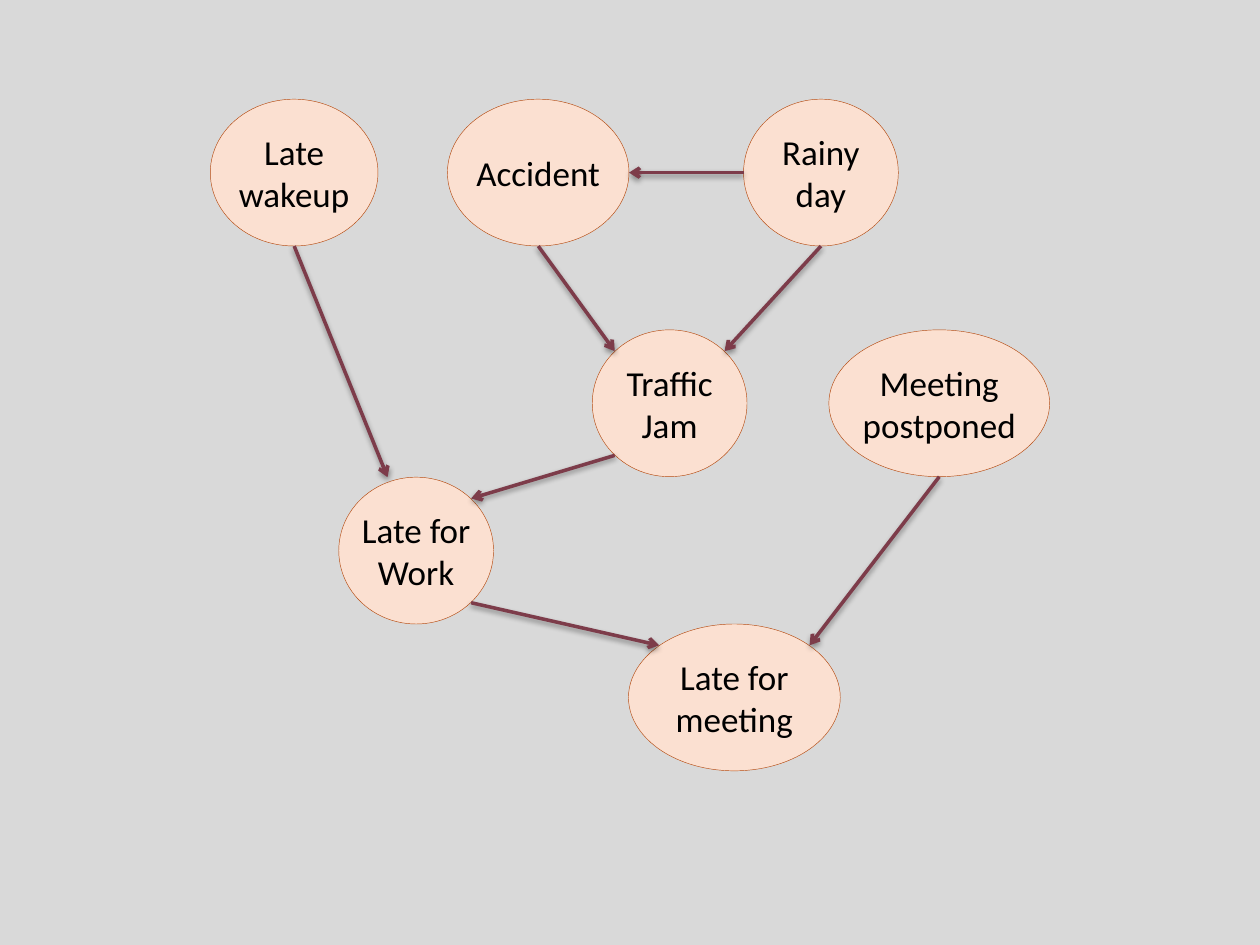
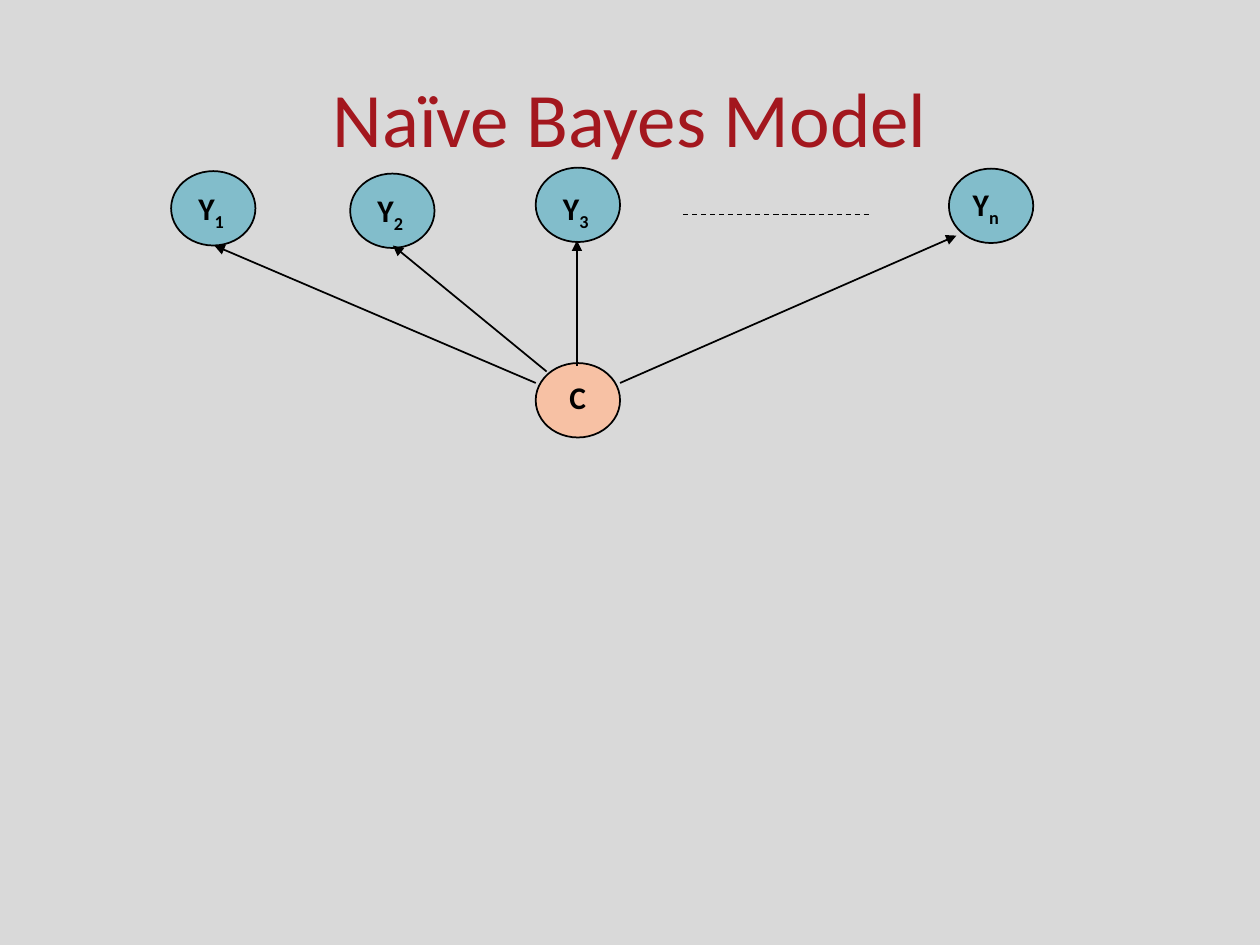
from lxml.etree import SubElement
from pptx import Presentation
from pptx.dml.color import RGBColor
from pptx.enum.dml import MSO_LINE
from pptx.enum.shapes import MSO_CONNECTOR, MSO_SHAPE
from pptx.enum.text import MSO_ANCHOR, MSO_AUTO_SIZE, PP_ALIGN
from pptx.oxml.ns import qn
from pptx.util import Cm, Pt

COLORS = {
    "back": "D9D9D9", "title": "A3171E", "text": "000000", "line": "000000",
    "event": "FBE0D1", "edge": "B54A10", "cause": "7D3C4A",
    "class": "F7C1A4", "feature": "2DA2BF",
}
FONTS = {
    "title": {"name": "Calibri", "size": Pt(44), "bold": False},
    "event": {"name": "Calibri", "size": Pt(20)},
    "label": {"name": "Calibri", "size": Pt(18), "bold": True},
}

# Lengths in cm. Events: text, left, top, width
EVENT_H = 2.96
EVENTS = {
    "rain": ("Rainy day", 14.99, 2, 3.12),
    "crash": ("Accident", 9.02, 2, 3.66),
    "jam": ("Traffic Jam", 11.94, 6.65, 3.12),
    "wake": ("Late wakeup", 4.24, 2, 3.38),
    "delay": ("Meeting postponed", 16.71, 6.65, 4.45),
    "meet": ("Late for meeting", 12.67, 12.58, 4.27),
    "work": ("Late for Work", 6.83, 9.62, 3.12),
}
# Points on an oval, in half widths and half heights from its centre
DIAG = 0.71
SITES = {
    "s": (0, 1), "w": (-1, 0), "e": (1, 0), "nnw": (-0.37, -1),
    "nw": (-DIAG, -DIAG), "ne": (DIAG, -DIAG),
    "sw": (-DIAG, DIAG), "se": (DIAG, DIAG),
}
CAUSES = [
    ("wake", "s", "work", "nnw"),
    ("crash", "s", "jam", "nw"),
    ("rain", "s", "jam", "ne"),
    ("rain", "w", "crash", "e"),
    ("delay", "s", "meet", "ne"),
    ("work", "se", "meet", "nw"),
    ("jam", "sw", "work", "ne"),
]

TITLE = "Naïve Bayes Model"
NODE_W, NODE_H = 1.7, 1.5
# Nodes: letter, subscript, left, top, label offset, label width, fill
NODES = [
    ("C", "", 10.8, 7.32, (0.43, 0.17), 0.97, "class"),
    ("Y", "n", 19.13, 3.4, (0.23, 0.2), 1.19, "feature"),
    ("Y", "1", 3.45, 3.45, (0.3, 0.23), 1.17, "feature"),
    ("Y", "2", 7.06, 3.5, (0.3, 0.23), 1.17, "feature"),
    ("Y", "3", 10.8, 3.38, (0.3, 0.3), 1.17, "feature"),
]
ARROWS = [
    ((10.8, 7.72), (4.32, 4.95)),
    ((11.02, 7.49), (7.92, 4.95)),
    ((11.63, 7.37), (11.63, 4.85)),
    ((12.5, 7.72), (19.28, 4.75)),
]
GAP = ((13.77, 4.32), (17.58, 4.32))


def paint(fill, name):
    fill.solid()
    fill.fore_color.rgb = RGBColor.from_string(COLORS[name])


def style(font, kind, color="text"):
    for key, value in FONTS[kind].items():
        setattr(font, key, value)
    font.color.rgb = RGBColor.from_string(COLORS[color])


def stroke(line, name, width):
    paint(line.fill, name)
    line.width = Pt(width)


def add_oval(slide, box, fill, edge, width):
    oval = slide.shapes.add_shape(MSO_SHAPE.OVAL, *map(Cm, box))
    oval.shadow.inherit = False
    paint(oval.fill, fill)
    stroke(oval.line, edge, width)
    return oval


def add_line(slide, start, end, color, width, head=None, dash=None, glow=False):
    """Draw a straight line; glow adds a soft shadow below it."""
    link = slide.shapes.add_connector(
        MSO_CONNECTOR.STRAIGHT, *map(Cm, (*start, *end)))
    stroke(link.line, color, width)
    if dash:
        link.line.dash_style = dash
    props = link._element.spPr
    if head:
        SubElement(props.find(qn("a:ln")), qn("a:tailEnd"), type=head)
    effect = SubElement(props, qn("a:effectLst"))
    if glow:
        shade = SubElement(effect, qn("a:outerShdw"), blurRad="40000",
                           dist="20000", dir="5400000", rotWithShape="0")
        tint = SubElement(shade, qn("a:srgbClr"), val="000000")
        SubElement(tint, qn("a:alpha"), val="38000")


def site(key, side):
    _, left, top, width = EVENTS[key]
    dx, dy = SITES[side]
    return left + width / 2 * (1 + dx), top + EVENT_H / 2 * (1 + dy)


def add_label(slide, box, letter, sub):
    label = slide.shapes.add_textbox(*map(Cm, box))
    frame = label.text_frame
    frame.word_wrap = False
    frame.auto_size = MSO_AUTO_SIZE.SHAPE_TO_FIT_TEXT
    for text, base in ((letter, None), (sub, "-25000")):
        if text:
            run = frame.paragraphs[0].add_run()
            run.text = text
            style(run.font, "label")
            if base:
                run.font._element.set("baseline", base)


def build_events(slide):
    for text, left, top, width in EVENTS.values():
        oval = add_oval(slide, (left, top, width, EVENT_H),
                        "event", "edge", 0.25)
        frame = oval.text_frame
        for side in ("left", "top", "right", "bottom"):
            setattr(frame, f"margin_{side}", 0)
        frame.word_wrap = True
        frame.vertical_anchor = MSO_ANCHOR.MIDDLE
        frame.text = text
        para = frame.paragraphs[0]
        para.alignment = PP_ALIGN.CENTER
        style(para.runs[0].font, "event")
    for source, out, target, into in CAUSES:
        add_line(slide, site(source, out), site(target, into),
                 "cause", 2, "arrow", glow=True)


def build_model(slide):
    title = slide.shapes.title
    place = {"left": 1.27, "top": 0.76, "width": 22.86, "height": 3.18}
    for key, value in place.items():
        setattr(title, key, Cm(value))
    frame = title.text_frame
    frame.text = TITLE
    frame.vertical_anchor = MSO_ANCHOR.MIDDLE
    para = frame.paragraphs[0]
    para.alignment = PP_ALIGN.CENTER
    style(para.runs[0].font, "title", "title")

    for letter, sub, left, top, (dx, dy), width, fill in NODES:
        oval = add_oval(slide, (left, top, NODE_W, NODE_H), fill, "line", 1)
        if fill == "feature":
            tint = oval._element.spPr.find(qn("a:solidFill"))[0]
            SubElement(tint, qn("a:alpha"), val="50000")
        add_label(slide, (left + dx, top + dy, width, 1.02), letter, sub)
    for start, end in ARROWS:
        add_line(slide, start, end, "line", 1, "triangle")
    add_line(slide, *GAP, "line", 0.75, dash=MSO_LINE.DASH)


def main():
    deck = Presentation()
    deck.slide_width, deck.slide_height = Cm(25.4), Cm(19.05)
    paint(deck.slide_master.background.fill, "back")
    for layout, build in ((6, build_events), (5, build_model)):
        build(deck.slides.add_slide(deck.slide_layouts[layout]))
    deck.save("out.pptx")


if __name__ == "__main__":
    main()
